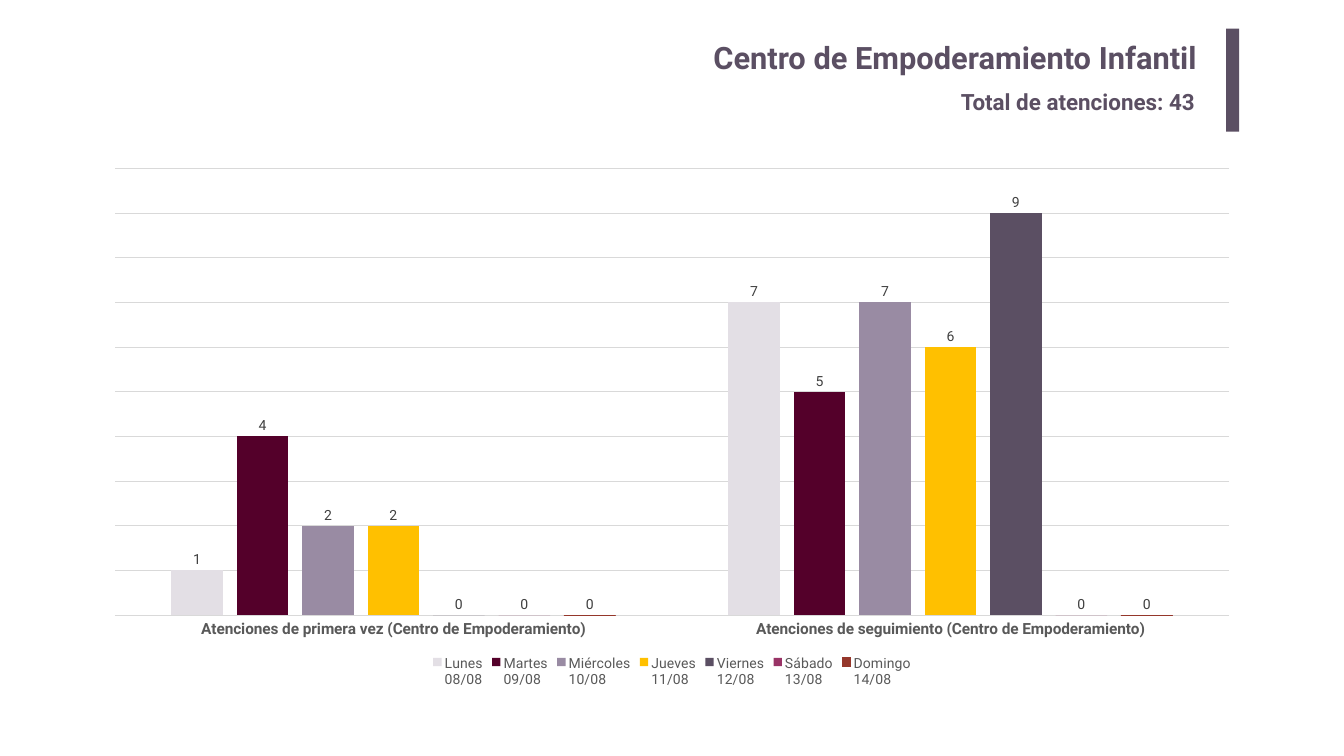
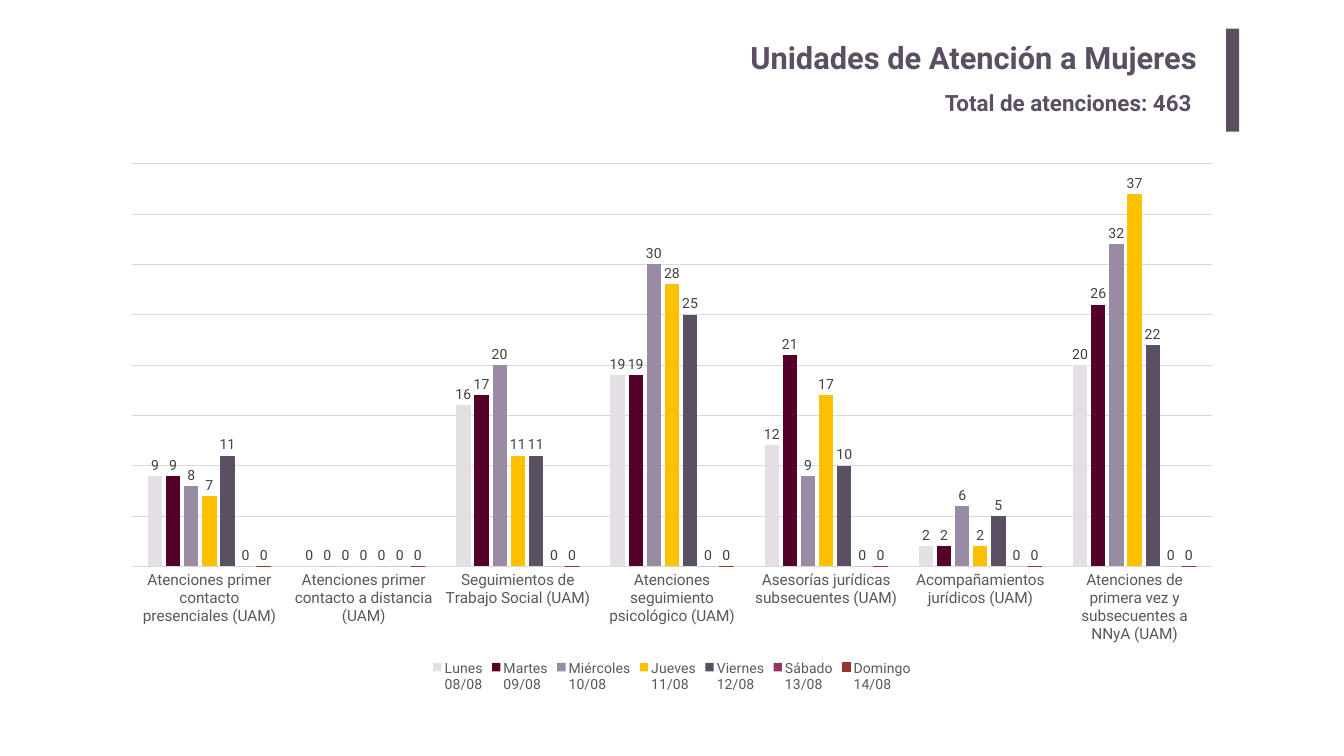
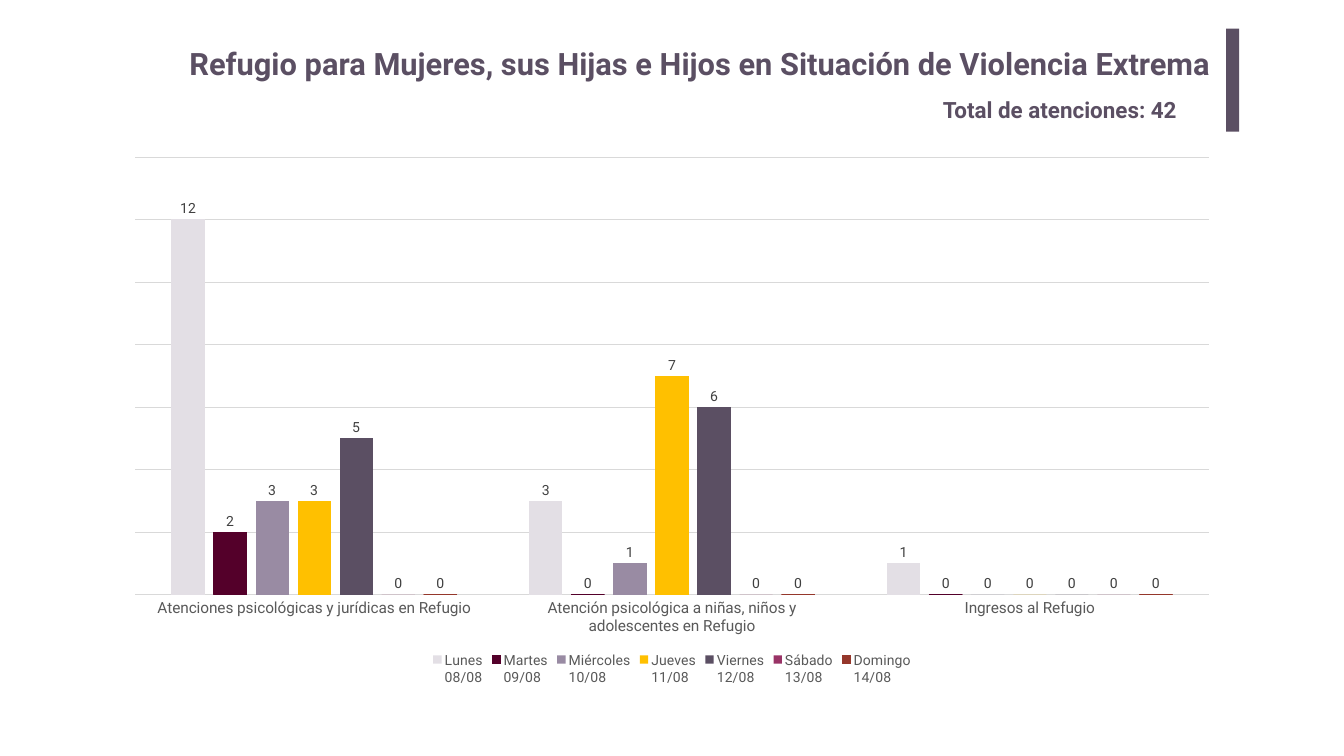
from dataclasses import dataclass

from pptx import Presentation
from pptx.chart.data import CategoryChartData as ChartData
from pptx.dml.color import RGBColor as RGB
from pptx.enum.chart import XL_CHART_TYPE as Kind
from pptx.enum.chart import XL_LABEL_POSITION as LabelPos
from pptx.enum.chart import XL_LEGEND_POSITION as LegendPos
from pptx.enum.chart import XL_TICK_LABEL_POSITION as TickPos
from pptx.enum.chart import XL_TICK_MARK as Tick
from pptx.enum.shapes import MSO_SHAPE as Shape
from pptx.enum.text import MSO_ANCHOR as Anchor
from pptx.enum.text import PP_ALIGN as Align
from pptx.util import Inches, Pt


@dataclass(frozen=True)
class Theme:
    font: str = "Roboto"
    main: str = "5B4F63"
    axis: str = "595959"
    label: str = "404040"
    grid: str = "D9D9D9"
    title: int = 44
    total: int = 32
    cat: int = 22
    small: int = 20
    line: float = 0.75


T = Theme()
WIDE, HIGH = 26.67, 15
BAR = (24.33, 0.57, 0.26, 2.04)
TITLE = dict(at=(3.66, 0.67, 20.3, 1.02), align=Align.RIGHT, pad=0.1)
LONG = dict(at=(3.66, 0.84, 20.73, 0.84), align=Align.LEFT, pad=0.05)

DAYS = [
    ("Lunes\n08/08", "E3DFE5"),
    ("Martes\n09/08", "54002A"),
    ("Miércoles\n10/08", "998BA3"),
    ("Jueves\n11/08", "FFC000"),
    ("Viernes\n12/08", T.main),
    ("Sábado\n13/08", "993366"),
    ("Domingo\n14/08", "95372B"),
]

# Each row holds a category and its values from Monday to Sunday.
SLIDES = [
    dict(
        title="Centro de Empoderamiento Infantil", head=TITLE,
        total=43, sub=(18.97, 1.69, 5.05, 0.64),
        chart=(1.82, 3.13, 23.03, 10.59), top=10, step=1,
        bold=True, lined={6},
        rows=[
            ("Atenciones de primera vez (Centro de Empoderamiento)",
             (1, 4, 2, 2, 0, 0, 0)),
            ("Atenciones de seguimiento (Centro de Empoderamiento)",
             (7, 5, 7, 6, 9, 0, 0)),
        ],
    ),
    dict(
        title="Unidades de Atención a Mujeres", head=TITLE,
        total=463, sub=(18.65, 1.71, 5.31, 0.64),
        chart=(2.18, 3.03, 22.31, 10.79), top=40, step=5,
        bold=False, lined={6},
        rows=[
            ("Atenciones primer contacto presenciales (UAM)",
             (9, 9, 8, 7, 11, 0, 0)),
            ("Atenciones primer contacto a distancia (UAM)",
             (0, 0, 0, 0, 0, 0, 0)),
            ("Seguimientos de Trabajo Social (UAM)",
             (16, 17, 20, 11, 11, 0, 0)),
            ("Atenciones seguimiento psicológico (UAM)",
             (19, 19, 30, 28, 25, 0, 0)),
            ("Asesorías jurídicas subsecuentes (UAM)",
             (12, 21, 9, 17, 10, 0, 0)),
            ("Acompañamientos jurídicos (UAM)",
             (2, 2, 6, 2, 5, 0, 0)),
            ("Atenciones de primera vez y subsecuentes a NNyA (UAM)",
             (20, 26, 32, 37, 22, 0, 0)),
        ],
    ),
    dict(
        title="Refugio para Mujeres, sus Hijas e Hijos en Situación "
              "de Violencia Extrema", head=LONG,
        total=42, sub=(18.61, 1.85, 5.35, 0.64),
        chart=(2.24, 2.9, 22.19, 10.77), top=14, step=2,
        bold=False, lined={1, 6},
        rows=[
            ("Atenciones psicológicas y jurídicas en Refugio",
             (12, 2, 3, 3, 5, 0, 0)),
            ("Atención psicológica a niñas, niños y adolescentes en Refugio",
             (3, 0, 1, 7, 6, 0, 0)),
            ("Ingresos al Refugio", (1, 0, 0, 0, 0, 0, 0)),
        ],
    ),
]


def box(at):
    return [Inches(v) for v in at]


def style(font, size, color, bold=False):
    font.name, font.size, font.bold = T.font, Pt(size), bold
    font.color.rgb = RGB.from_string(color)


def stroke(line, color):
    line.color.rgb = RGB.from_string(color)
    line.width = Pt(T.line)


def add_text(slide, text, size, at, align=Align.LEFT, pad=0.05):
    frame = slide.shapes.add_textbox(*box(at)).text_frame
    frame.word_wrap = True
    frame.vertical_anchor = Anchor.TOP
    frame.margin_left = frame.margin_right = Inches(2 * pad)
    frame.margin_top = frame.margin_bottom = Inches(pad)
    par = frame.paragraphs[0]
    par.text, par.alignment = text, align
    style(par.font, size, T.main, True)


def add_bar(slide):
    bar = slide.shapes.add_shape(Shape.RECTANGLE, *box(BAR))
    bar.shadow.inherit = False
    bar.fill.solid()
    bar.fill.fore_color.rgb = RGB.from_string(T.main)
    bar.line.fill.background()


def add_axes(chart, page):
    cat, val = chart.category_axis, chart.value_axis
    cat.major_tick_mark = cat.minor_tick_mark = Tick.NONE
    cat.tick_label_position = TickPos.LOW
    style(cat.tick_labels.font, T.cat, T.axis, page["bold"])
    stroke(cat.format.line, T.grid)
    val.visible = False
    val.minimum_scale, val.maximum_scale = 0, page["top"]
    val.major_unit = page["step"]
    val.has_major_gridlines = True
    stroke(val.major_gridlines.format.line, T.grid)


def add_series(plot, lined):
    """Colour each day's columns; days in lined also get an outline."""
    plot.gap_width, plot.overlap = 219, -27
    plot.vary_by_categories = False
    for i, (series, (_, color)) in enumerate(zip(plot.series, DAYS)):
        series.invert_if_negative = False
        series.format.fill.solid()
        series.format.fill.fore_color.rgb = RGB.from_string(color)
        if i in lined:
            stroke(series.format.line, color)
        else:
            series.format.line.fill.background()
        labels = series.data_labels
        labels.show_value = True
        labels.position = LabelPos.OUTSIDE_END
        style(labels.font, T.small, T.label)


def add_chart(slide, page):
    names, values = zip(*page["rows"])
    data = ChartData()
    data.categories = names
    for (day, _), column in zip(DAYS, zip(*values)):
        data.add_series(day, column)
    chart = slide.shapes.add_chart(
        Kind.COLUMN_CLUSTERED, *box(page["chart"]), data).chart
    chart.has_title = False
    style(chart.font, 10, "000000")
    add_axes(chart, page)
    add_series(chart.plots[0], page["lined"])
    chart.has_legend = True
    chart.legend.position = LegendPos.BOTTOM
    chart.legend.include_in_layout = False
    style(chart.legend.font, T.small, T.axis)


def main():
    deck = Presentation()
    deck.slide_width, deck.slide_height = Inches(WIDE), Inches(HIGH)
    for page in SLIDES:
        slide = deck.slides.add_slide(deck.slide_layouts[6])
        add_text(slide, page["title"], T.title, **page["head"])
        add_bar(slide)
        add_text(slide, f"Total de atenciones: {page['total']}",
                 T.total, page["sub"])
        add_chart(slide, page)
    deck.save("out.pptx")


if __name__ == "__main__":
    main()
